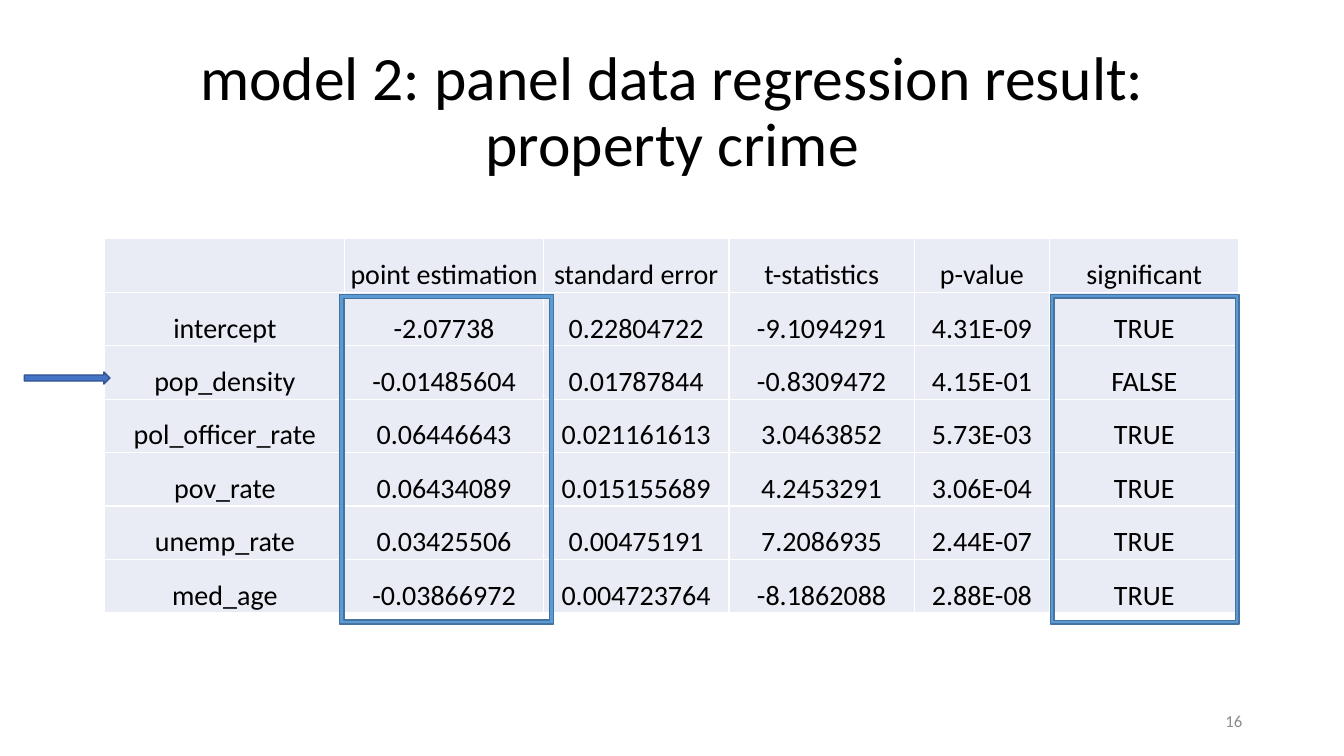
from pptx import Presentation
from pptx.dml.color import RGBColor
from pptx.enum.shapes import MSO_SHAPE
from pptx.enum.text import MSO_ANCHOR, PP_ALIGN
from pptx.util import Inches, Pt

TITLE = "model 2: panel data regression result:\vproperty crime"
RESULTS = [
    ("", "point estimation", "standard error", "t-statistics", "p-value", "significant"),
    ("intercept", "-2.07738", "0.22804722", "-9.1094291", "4.31E-09", "TRUE"),
    ("pop_density", "-0.01485604", "0.01787844", "-0.8309472", "4.15E-01", "FALSE"),
    ("pol_officer_rate", "0.06446643", "0.021161613", "3.0463852", "5.73E-03", "TRUE"),
    ("pov_rate", "0.06434089", "0.015155689", "4.2453291", "3.06E-04", "TRUE"),
    ("unemp_rate", "0.03425506", "0.00475191", "7.2086935", "2.44E-07", "TRUE"),
    ("med_age", "-0.03866972", "0.004723764", "-8.1862088", "2.88E-08", "TRUE"),
]
PAGE_NUMBER = "16"

SLIDE_WIDTH, SLIDE_HEIGHT = 13.33, 7.5
TABLE_LEFT, TABLE_TOP = 1.04, 2.37
COLUMN_WIDTHS = [2.38, 1.97, 1.84, 1.84, 1.34, 1.88]
ROW_HEIGHT = 0.53
CELL_INSET = 0.01
FRAME_TOP, FRAME_HEIGHT = TABLE_TOP + ROW_HEIGHT + 0.02, 3.27
FRAMES = [(3.37, 2.12), (10.42, 1.87)]  # left, width
FRAME_THICKNESS = 0.019

FONT = "Calibri"
BLACK = RGBColor(0x00, 0x00, 0x00)
GRAY = RGBColor(0x8C, 0x8C, 0x8C)
CELL_FILL = RGBColor(0xE9, 0xEB, 0xF5)
FRAME_FILL = RGBColor(0x5B, 0x9B, 0xD5)
FRAME_LINE = RGBColor(0x43, 0x73, 0x9E)
ARROW_FILL = RGBColor(0x44, 0x72, 0xC4)
ARROW_LINE = RGBColor(0x32, 0x54, 0x91)

TITLE_ONLY = 5
CENTER, RIGHT = PP_ALIGN.CENTER, PP_ALIGN.RIGHT
MIDDLE, BOTTOM = MSO_ANCHOR.MIDDLE, MSO_ANCHOR.BOTTOM
FRAME, RIGHT_ARROW = MSO_SHAPE.FRAME, MSO_SHAPE.RIGHT_ARROW


def inches(*lengths):
    return [Inches(length) for length in lengths]


def format_paragraph(paragraph, size, color, alignment):
    paragraph.alignment = alignment
    paragraph.font.name = FONT
    paragraph.font.size = Pt(size)
    paragraph.font.color.rgb = color


def add_title(slide):
    title = slide.shapes.title
    title.left, title.top, title.width, title.height = inches(0.92, 0.4, 11.5, 1.45)
    title.text_frame.text = TITLE
    title.text_frame.vertical_anchor = MIDDLE
    paragraph = title.text_frame.paragraphs[0]
    paragraph.line_spacing = 0.9
    format_paragraph(paragraph, 44, BLACK, CENTER)


def add_results_table(slide):
    table = slide.shapes.add_table(
        len(RESULTS), len(COLUMN_WIDTHS),
        *inches(TABLE_LEFT, TABLE_TOP, sum(COLUMN_WIDTHS), ROW_HEIGHT * len(RESULTS)),
    ).table
    table.first_row = table.horz_banding = False
    for column, width in zip(table.columns, COLUMN_WIDTHS):
        column.width = Inches(width)
    for row, values in zip(table.rows, RESULTS):
        row.height = Inches(ROW_HEIGHT)
        for cell, value in zip(row.cells, values):
            cell.text = value
            cell.fill.solid()
            cell.fill.fore_color.rgb = CELL_FILL
            cell.vertical_anchor = BOTTOM
            cell.margin_left = cell.margin_right = cell.margin_top = Inches(CELL_INSET)
            cell.margin_bottom = 0
            format_paragraph(cell.text_frame.paragraphs[0], 20, BLACK, CENTER)


def add_marker(slide, kind, box, fill, line):
    shape = slide.shapes.add_shape(kind, *inches(*box))
    shape.shadow.inherit = False
    shape.fill.solid()
    shape.fill.fore_color.rgb = fill
    shape.line.color.rgb = line
    shape.line.width = Pt(1)
    return shape


def add_page_number(slide):
    text_frame = slide.shapes.add_textbox(*inches(9.42, 6.95, 3, 0.4)).text_frame
    text_frame.word_wrap = True
    text_frame.vertical_anchor = MIDDLE
    text_frame.text = PAGE_NUMBER
    format_paragraph(text_frame.paragraphs[0], 12, GRAY, RIGHT)


def main():
    presentation = Presentation()
    presentation.slide_width, presentation.slide_height = inches(SLIDE_WIDTH, SLIDE_HEIGHT)
    slide = presentation.slides.add_slide(presentation.slide_layouts[TITLE_ONLY])
    add_title(slide)
    add_results_table(slide)
    for left, width in FRAMES:
        box = (left, FRAME_TOP, width, FRAME_HEIGHT)
        frame = add_marker(slide, FRAME, box, FRAME_FILL, FRAME_LINE)
        frame.adjustments[0] = FRAME_THICKNESS
    add_marker(slide, RIGHT_ARROW, (0.24, 3.69, 0.85, 0.12), ARROW_FILL, ARROW_LINE)
    add_page_number(slide)
    presentation.save("out.pptx")


if __name__ == "__main__":
    main()
